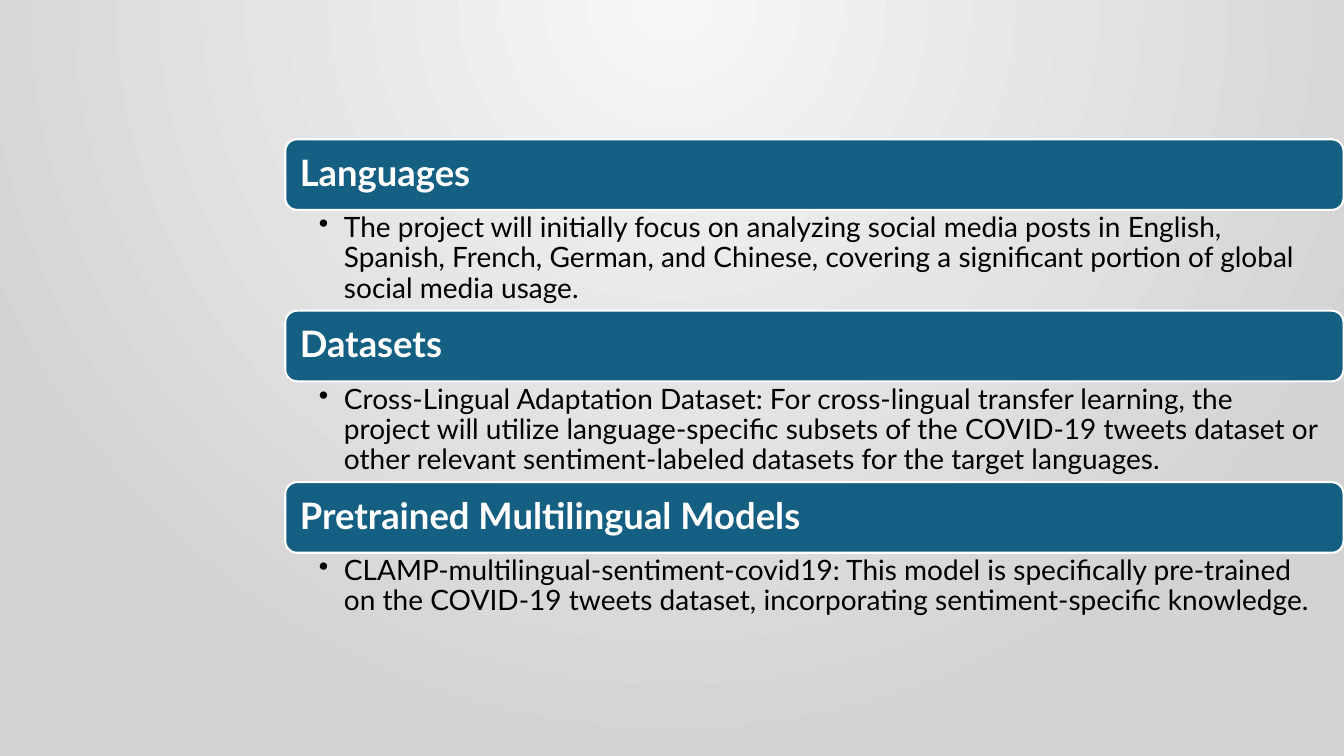
from dataclasses import dataclass

from lxml import etree
from pptx import Presentation
from pptx.dml.color import RGBColor
from pptx.enum.shapes import MSO_SHAPE
from pptx.enum.text import MSO_ANCHOR, PP_ALIGN
from pptx.oxml.ns import qn
from pptx.slide import Slide
from pptx.text.text import TextFrame
from pptx.util import Cm, Pt

ROUNDED = MSO_SHAPE.ROUNDED_RECTANGLE
TOP, MIDDLE = MSO_ANCHOR.TOP, MSO_ANCHOR.MIDDLE
LEFT = PP_ALIGN.LEFT

FONT = "Lato"
TEAL, WHITE, BLACK = "156082", "FFFFFF", "000000"
BACKGROUND = ("F7F7F7", "D3D3D3")

# Layout in centimetres
LIST_LEFT, LIST_TOP, LIST_WIDTH = 7.19, 3.51, 26.67
BAR_HEIGHT = 1.78
BULLET_INDENT = 0.63


@dataclass
class Section:
    title: str
    detail: str
    detail_height: float


SECTIONS = [
    Section(
        "Languages",
        "The project will initially focus on analyzing social media posts in English, "
        "Spanish, French, German, and Chinese, covering a significant portion of "
        "global social media usage.",
        2.54,
    ),
    Section(
        "Datasets",
        "Cross-Lingual Adaptation Dataset: For cross-lingual transfer learning, the "
        "project will utilize language-specific subsets of the COVID-19 tweets dataset "
        "or other relevant sentiment-labeled datasets for the target languages.",
        2.54,
    ),
    Section(
        "Pretrained Multilingual Models",
        "CLAMP-multilingual-sentiment-covid19: This model is specifically pre-trained "
        "on the COVID-19 tweets dataset, incorporating sentiment-specific knowledge.",
        1.75,
    ),
]


def color(value: str) -> RGBColor:
    return RGBColor.from_string(value)


def paint_background(s: Slide) -> None:
    fill = s.background.fill
    fill.gradient()
    for stop, value in zip(fill.gradient_stops, BACKGROUND):
        stop.color.rgb = color(value)
    # Radial gradient centred on the top edge
    grad = s.element.find(".//" + qn("a:gradFill"))
    grad.remove(grad.find(qn("a:lin")))
    path = etree.SubElement(grad, qn("a:path"), {"path": "circle"})
    etree.SubElement(path, qn("a:fillToRect"),
                     {"l": "43000", "t": "0", "r": "43000", "b": "100000"})


def write_text(tf: TextFrame, text: str, size: int, value: str, bold: bool,
               anchor: MSO_ANCHOR, margins: tuple[float, float, float],
               space_after: int) -> None:
    tf.word_wrap = True
    tf.vertical_anchor = anchor
    left, right, vertical = margins
    tf.margin_left, tf.margin_right = Cm(left), Cm(right)
    tf.margin_top = tf.margin_bottom = Cm(vertical)
    p = tf.paragraphs[0]
    p.alignment = LEFT
    p.line_spacing = 0.9
    p.space_after = Pt(space_after)
    r = p.add_run()
    r.text = text
    r.font.name = FONT
    r.font.size = Pt(size)
    r.font.bold = bold
    r.font.color.rgb = color(value)


def add_bullet(tf: TextFrame) -> None:
    p = tf.paragraphs[0]
    p.level = 1
    props = p._p.get_or_add_pPr()
    props.set("marL", str(Cm(BULLET_INDENT)))
    props.set("indent", str(-Cm(BULLET_INDENT)))
    etree.SubElement(props, qn("a:buChar"), {"char": "•"})


def add_bar(s: Slide, title: str, top: float) -> None:
    sp = s.shapes.add_shape(ROUNDED, Cm(LIST_LEFT), Cm(top),
                            Cm(LIST_WIDTH), Cm(BAR_HEIGHT))
    sp.shadow.inherit = False
    sp.fill.solid()
    sp.fill.fore_color.rgb = color(TEAL)
    sp.line.color.rgb = color(WHITE)
    sp.line.width = Pt(1.5)
    write_text(sp.text_frame, title, 26, WHITE, True, MIDDLE, (0.28, 0.28, 0.28), 9)


def add_detail(s: Slide, detail: str, top: float, height: float) -> None:
    sp = s.shapes.add_textbox(Cm(LIST_LEFT), Cm(top), Cm(LIST_WIDTH), Cm(height))
    write_text(sp.text_frame, detail, 20, BLACK, False, TOP, (0.85, 0.5, 0.09), 4)
    add_bullet(sp.text_frame)


def main() -> None:
    prs = Presentation()
    prs.slide_width, prs.slide_height = Cm(33.87), Cm(19.05)
    s = prs.slides.add_slide(prs.slide_layouts[6])
    paint_background(s)

    # Stack each heading bar and its detail text
    top = LIST_TOP
    for section in SECTIONS:
        add_bar(s, section.title, top)
        top += BAR_HEIGHT
        add_detail(s, section.detail, top, section.detail_height)
        top += section.detail_height

    prs.save("out.pptx")


if __name__ == "__main__":
    main()
